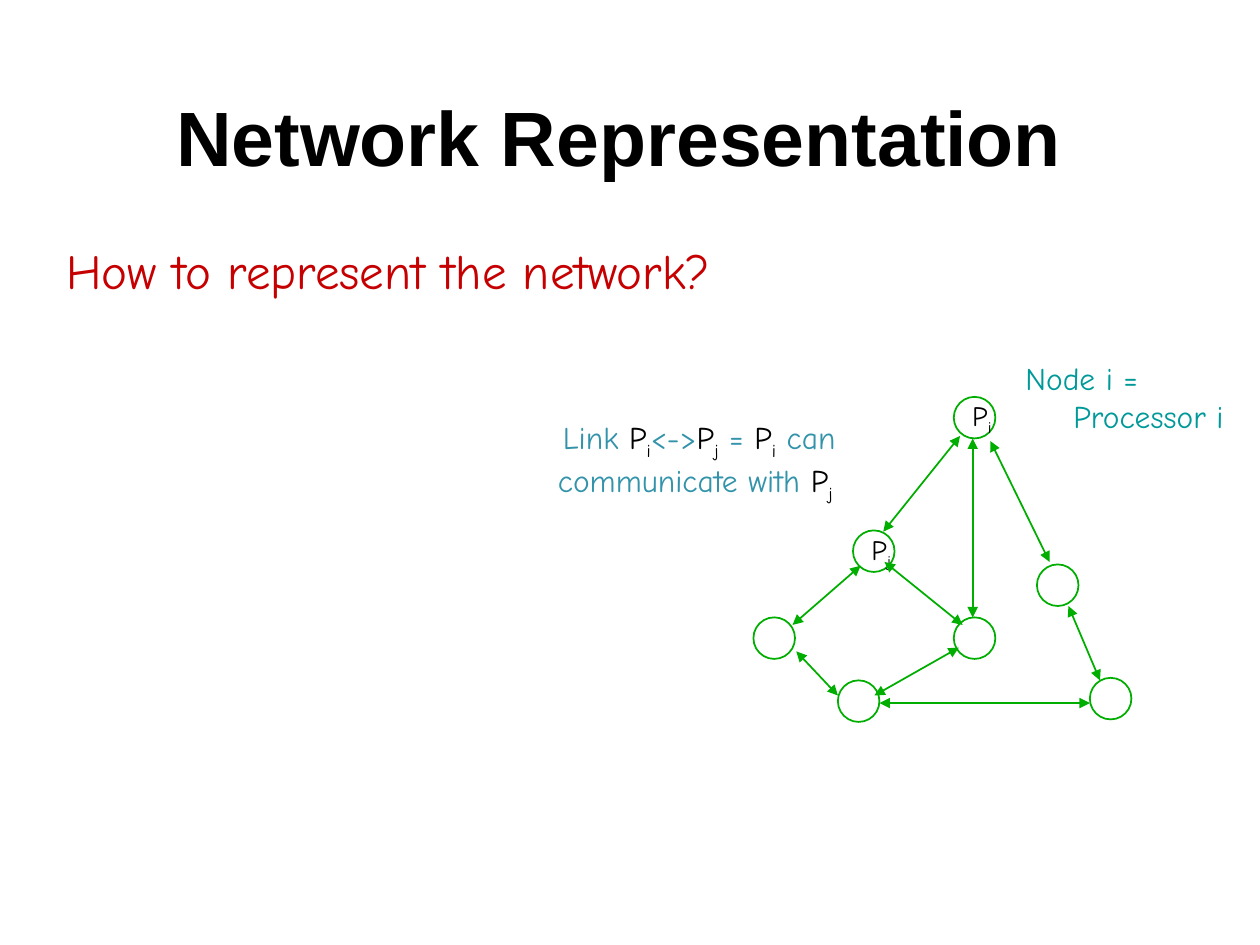
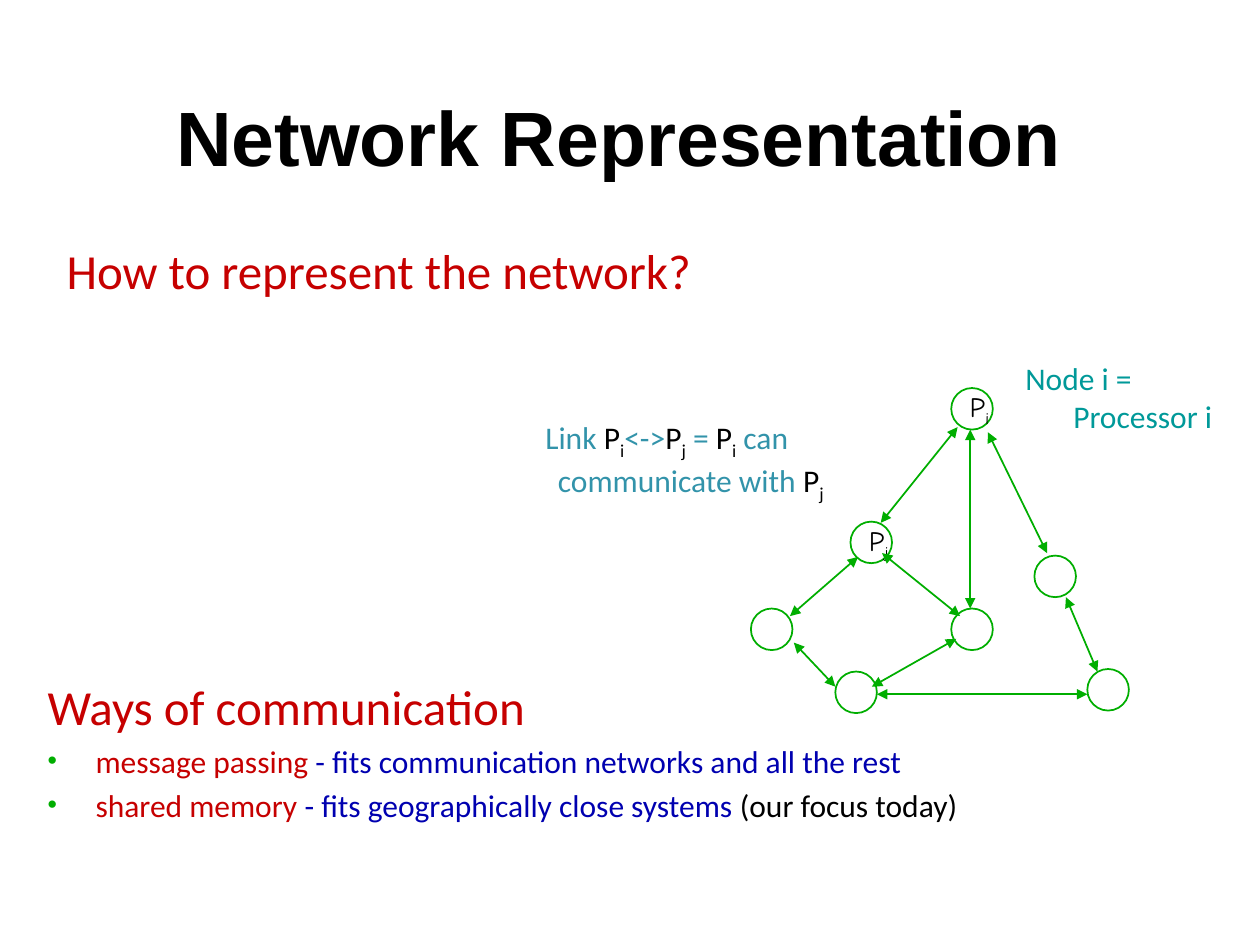
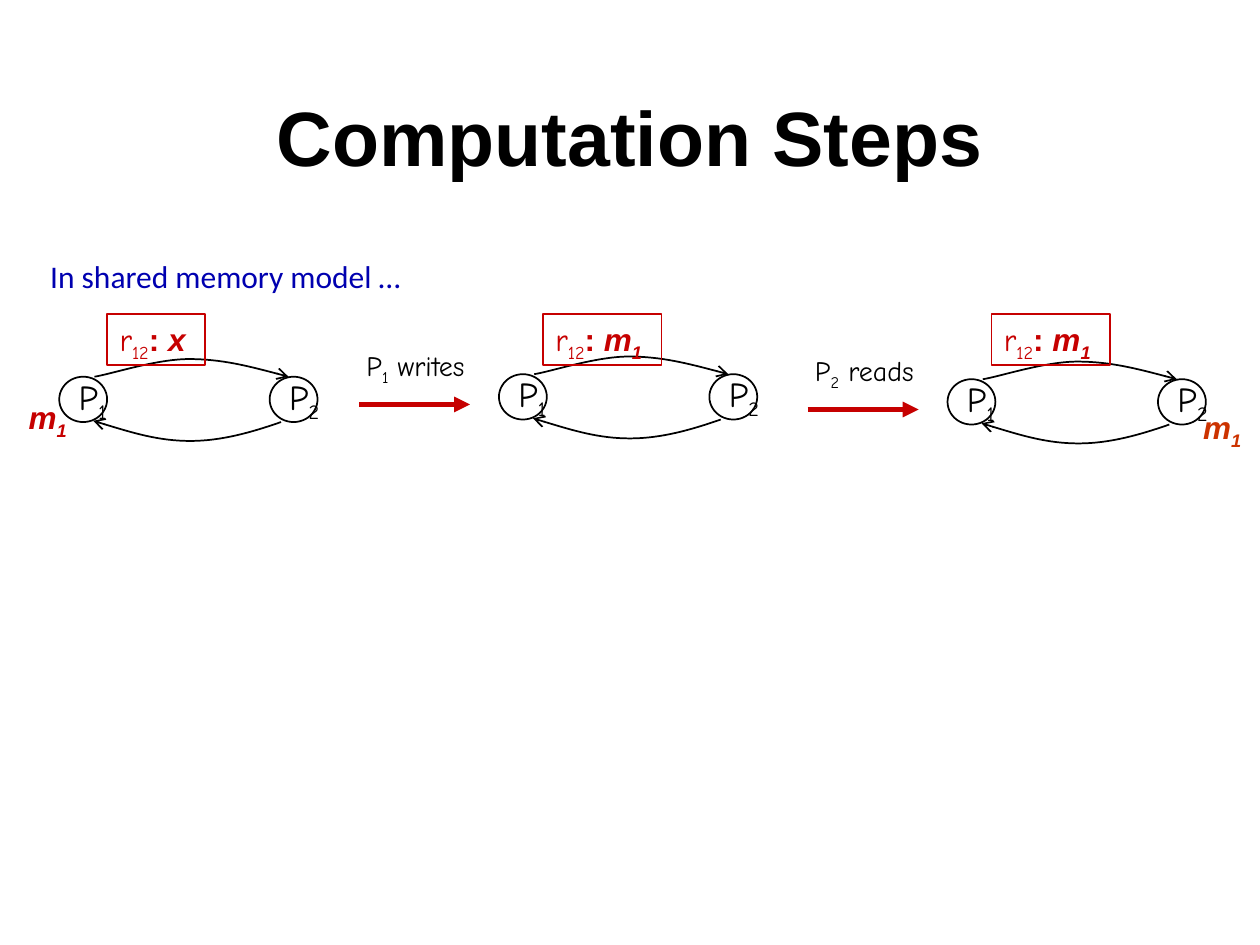
from dataclasses import dataclass
from typing import NamedTuple

from lxml.etree import SubElement
from pptx import Presentation
from pptx.dml.color import RGBColor
from pptx.enum.shapes import MSO_CONNECTOR as Connector, MSO_SHAPE as Shape
from pptx.enum.text import MSO_ANCHOR as Anchor, PP_ALIGN as Align
from pptx.oxml.ns import qn
from pptx.util import Inches, Pt


@dataclass(frozen=True)
class Theme:
    black: str = "000000"
    red: str = "C60000"
    orange: str = "CC3300"
    green: str = "00AE00"
    blue: str = "0000B0"
    steel: str = "3293AA"
    teal: str = "009999"
    title_font: str = "Arial"
    body_font: str = "Calibri"
    hand_font: str = "Comic Neue"
    title_size: int = 44
    heading_size: int = 28
    text_size: int = 18
    process_size: int = 20
    small_size: int = 16
    thin: float = 1
    thick: float = 3
    hanging: float = 0.38


THEME = Theme()


class Run(NamedTuple):
    text: str
    color: str = THEME.black
    font: str = THEME.hand_font
    size: int = THEME.text_size
    sub: bool = False
    bold: bool = False
    italic: bool = False


def indexed(letter, index, **style):
    return [Run(letter, **style), Run(index, sub=True, **style)]


def message(index, color):
    return indexed("m", index, color=color, font=THEME.title_font, bold=True, italic=True)


def write_runs(paragraph, runs, align=Align.LEFT, margin=0, indent=0):
    paragraph.alignment = align
    properties = paragraph._p.get_or_add_pPr()
    properties.set("marL", str(Inches(margin)))
    properties.set("indent", str(Inches(indent)))
    for part in runs:
        run = paragraph.add_run()
        run.text = part.text
        run.font.name = part.font
        run.font.size = Pt(part.size)
        run.font.bold = part.bold
        run.font.italic = part.italic
        run.font.color.rgb = RGBColor.from_string(part.color)
        if part.sub:
            run._r.get_or_add_rPr().set("baseline", "-25000")


def add_text(shapes, box, runs, anchor=Anchor.TOP, **layout):
    frame = shapes.add_textbox(*map(Inches, box)).text_frame
    frame.word_wrap = True
    frame.vertical_anchor = anchor
    write_runs(frame.paragraphs[0], runs, **layout)
    return frame


def add_bullet(frame, runs):
    paragraph = frame.add_paragraph()
    paragraph.space_before = Pt(0.2 * THEME.text_size)
    write_runs(paragraph, runs, margin=THEME.hanging, indent=-THEME.hanging)
    properties = paragraph._p.get_or_add_pPr()
    color = SubElement(properties, qn("a:buClr"))
    SubElement(color, qn("a:srgbClr"), val=THEME.green)
    SubElement(properties, qn("a:buSzPct"), val="85000")
    SubElement(properties, qn("a:buFont"), typeface=THEME.title_font)
    SubElement(properties, qn("a:buChar"), char="•")


def set_line(item, color, width, head=None, tail=None):
    item.line.color.rgb = RGBColor.from_string(color)
    item.line.width = Pt(width)
    outline = item.line._get_or_add_ln()
    if head:
        SubElement(outline, qn("a:headEnd"), type=head)
    if tail:
        SubElement(outline, qn("a:tailEnd"), type=tail)


def add_outline(shapes, kind, box, color, runs=(), anchor=Anchor.MIDDLE):
    outline = shapes.add_shape(kind, *map(Inches, box))
    outline.shadow.inherit = False
    outline.fill.background()
    set_line(outline, color, THEME.thin)
    if runs:
        frame = outline.text_frame
        frame.word_wrap = False
        frame.vertical_anchor = anchor
        write_runs(frame.paragraphs[0], runs)


def add_arrow(shapes, start, end, color, width, head=None):
    arrow = shapes.add_connector(Connector.STRAIGHT, *map(Inches, (*start, *end)))
    set_line(arrow, color, width, head, "triangle")
    SubElement(arrow._element.spPr, qn("a:effectLst"))


def add_curve(shapes, points):
    start, *controls = [(Inches(x), Inches(y)) for x, y in points]
    builder = shapes.build_freeform(*start)
    builder.add_line_segments(controls, close=False)
    curve = builder.convert_to_shape()
    curve.shadow.inherit = False
    curve.fill.background()
    set_line(curve, THEME.black, THEME.thin, head="arrow")
    segments = list(curve._element.iter(qn("a:lnTo")))
    for first in range(0, len(segments), 3):
        bezier = SubElement(segments[first].getparent(), qn("a:cubicBezTo"))
        for segment in segments[first:first + 3]:
            bezier.append(segment[0])
            segment.getparent().remove(segment)


def new_slide(deck, title):
    slide = deck.slides.add_slide(deck.slide_layouts[6])
    heading = Run(title, font=THEME.title_font, size=THEME.title_size, bold=True)
    add_text(slide.shapes, (0.5, 0.45, 9, 1.25), [heading], Anchor.MIDDLE, align=Align.CENTER)
    return slide


NODES = [
    (7.57, 3.15, "i"), (8.23, 4.48, ""), (8.65, 5.38, ""), (7.57, 4.9, ""),
    (6.77, 4.21, "j"), (6.65, 5.4, ""), (5.98, 4.9, ""),
]
LINKS = [
    ((7.62, 3.46), (7.01, 4.22)), ((7.72, 3.48), (7.72, 4.9)),
    ((7.61, 5.14), (6.94, 5.52)), ((6.32, 5.17), (6.65, 5.52)),
    ((6.83, 4.49), (6.29, 4.96)), ((8.33, 4.46), (7.86, 3.5)),
    ((8.48, 4.81), (8.73, 5.4)), ((6.98, 5.58), (8.65, 5.58)),
    ((7.02, 4.46), (7.64, 4.96)),
]
NODE_SIZE = 0.33


def add_network(slide, dx=0, dy=0):
    shapes = slide.shapes.add_group_shape().shapes
    for x, y, index in NODES:
        label = indexed("P", index, size=THEME.small_size) if index else ()
        add_outline(shapes, Shape.OVAL, (x + dx, y + dy, NODE_SIZE, NODE_SIZE), THEME.green, label)
    for (x1, y1), (x2, y2) in LINKS:
        add_arrow(shapes, (x1 + dx, y1 + dy), (x2 + dx, y2 + dy), THEME.green, THEME.thin, "triangle")


def network_slide(deck, font, link_indent, shift):
    slide = new_slide(deck, "Network Representation ")
    question = Run("How to represent the network?", THEME.red, font, THEME.heading_size)
    add_text(slide.shapes, (0.43, 1.86, 7.4, 0.57), [question])
    add_network(slide, *shift)

    def note(text):
        return Run(text, THEME.steel, font)

    pi, pj = (indexed("P", index, font=font) for index in "ij")
    link = [note("Link "), *pi, note("<->"), *pj, note(" = "), *pi,
            note(" can communicate with "), *pj]
    add_text(slide.shapes, (3.95, 3.27, 3.03, 0.7), link,
             margin=THEME.hanging, indent=link_indent)
    add_text(slide.shapes, (8.04, 2.8, 2.07, 0.7), [Run("Node i = Processor i", THEME.teal, font)],
             margin=THEME.hanging, indent=-THEME.hanging)
    return slide


def add_communication(slide):
    font = THEME.body_font
    heading = Run("Ways of communication ", THEME.red, font, THEME.heading_size)
    frame = add_text(slide.shapes, (0.28, 5.32, 9.45, 1.96), [heading],
                     margin=THEME.hanging, indent=-THEME.hanging)
    add_bullet(frame, [
        Run("message passing", THEME.red, font),
        Run(" - fits communication networks and all the rest", THEME.blue, font),
    ])
    add_bullet(frame, [
        Run("shared memory", THEME.red, font),
        Run(" - fits geographically close systems ", THEME.blue, font),
        Run("(our focus today)", THEME.black, font),
    ])


WRITE_CURVE = [(1.82, 0), (1.56, -0.07), (1.29, -0.14), (1.03, -0.14),
               (0.77, -0.14), (0.41, -0.02), (0.28, 0)]
READ_CURVE = [(0.27, 0.35), (0.53, 0.43), (0.79, 0.51), (1.04, 0.51),
              (1.29, 0.51), (1.53, 0.44), (1.76, 0.36)]
PROCESS_GAP = 1.67


def add_state(slide, x, y, register_box, value):
    shapes = slide.shapes.add_group_shape().shapes
    for position, index in enumerate("12"):
        add_outline(shapes, Shape.OVAL, (x + position * PROCESS_GAP, y, 0.38, 0.36), THEME.black,
                    indexed("P", index, size=THEME.process_size))
    for curve in (WRITE_CURVE, READ_CURVE):
        add_curve(shapes, [(x + dx, y + dy) for dx, dy in curve])
    register = indexed("r", "12", color=THEME.red)
    colon = Run(": ", THEME.red, THEME.title_font, bold=True)
    add_outline(shapes, Shape.RECTANGLE, register_box, THEME.red, [*register, colon, *value], Anchor.TOP)
    return shapes


def add_action(shapes, x, y, index, verb):
    label = [*indexed("P", index, size=THEME.small_size), Run(verb, size=THEME.small_size)]
    add_text(shapes, (x - 1.15, y - 0.25, 1.34, 0.37), label)
    add_arrow(shapes, (x - 1.11, y + 0.24), (x - 0.23, y + 0.24), THEME.red, THEME.thick)


def steps_slide(deck):
    slide = new_slide(deck, "Computation Steps")
    add_text(slide.shapes, (0.3, 1.99, 5.27, 0.49),
             [Run("In shared memory model … ", THEME.blue, THEME.body_font)])
    stored = message("1", THEME.red)
    for x, y, index, verb in ((3.96, 2.97, "1", " writes"), (7.52, 3.01, "2", " reads")):
        state = add_state(slide, x, y, (x + 0.35, 2.49, 0.94, 0.41), stored)
        add_action(state, x, y, index, verb)
    add_text(state, (9.45, 3.19, 0.55, 0.4), message("1", THEME.orange))
    unknown = Run("x", THEME.red, THEME.title_font, bold=True, italic=True)
    initial = add_state(slide, 0.47, 2.99, (0.85, 2.49, 0.78, 0.41), [unknown])
    add_text(initial, (0.13, 3.11, 0.63, 0.4), stored)


def main():
    deck = Presentation()
    deck.slide_width, deck.slide_height = Inches(10), Inches(7.5)
    network_slide(deck, THEME.hand_font, 0.04, (0, 0))
    add_communication(network_slide(deck, THEME.body_font, -0.1, (-0.02, -0.07)))
    steps_slide(deck)
    deck.save("out.pptx")


main()
